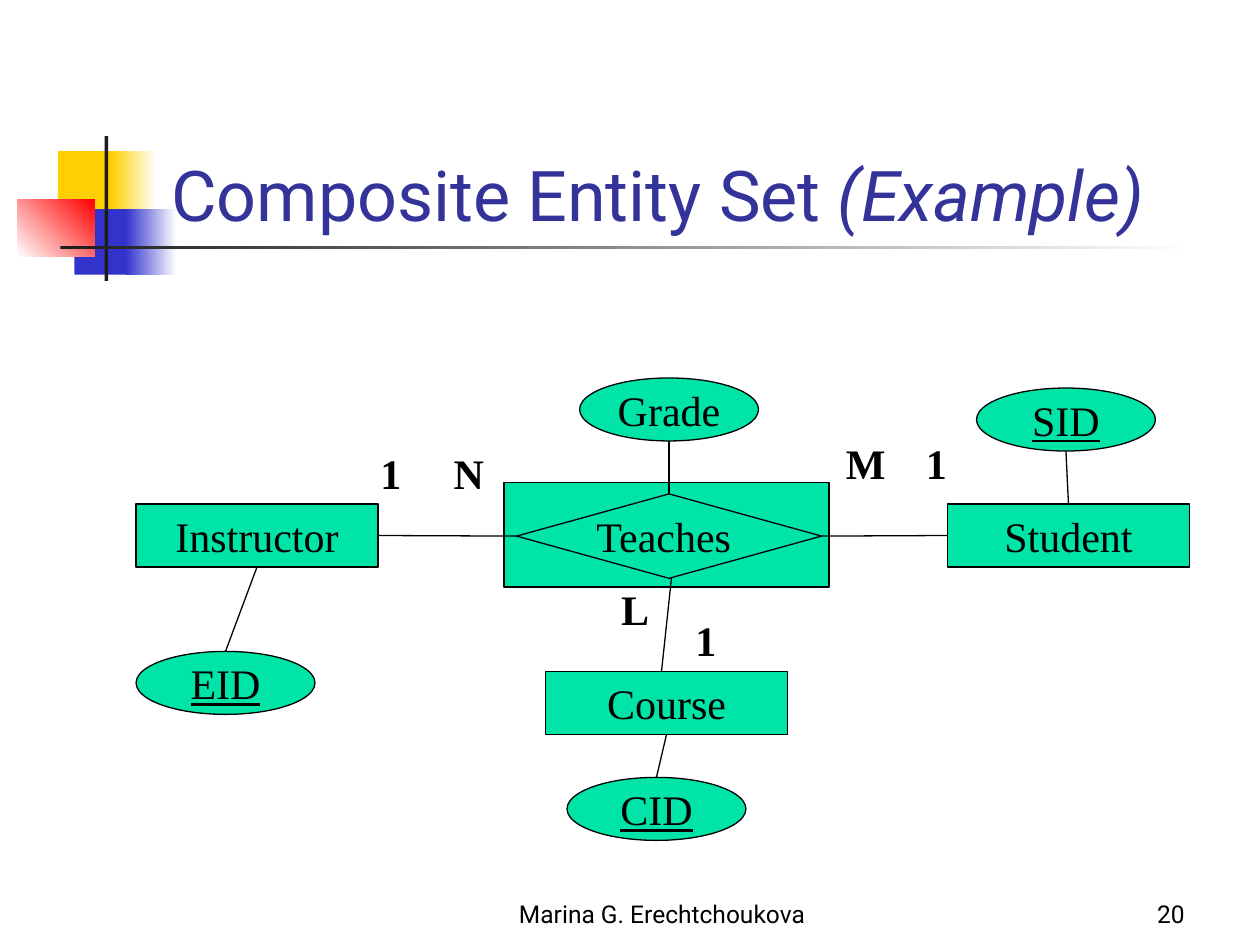
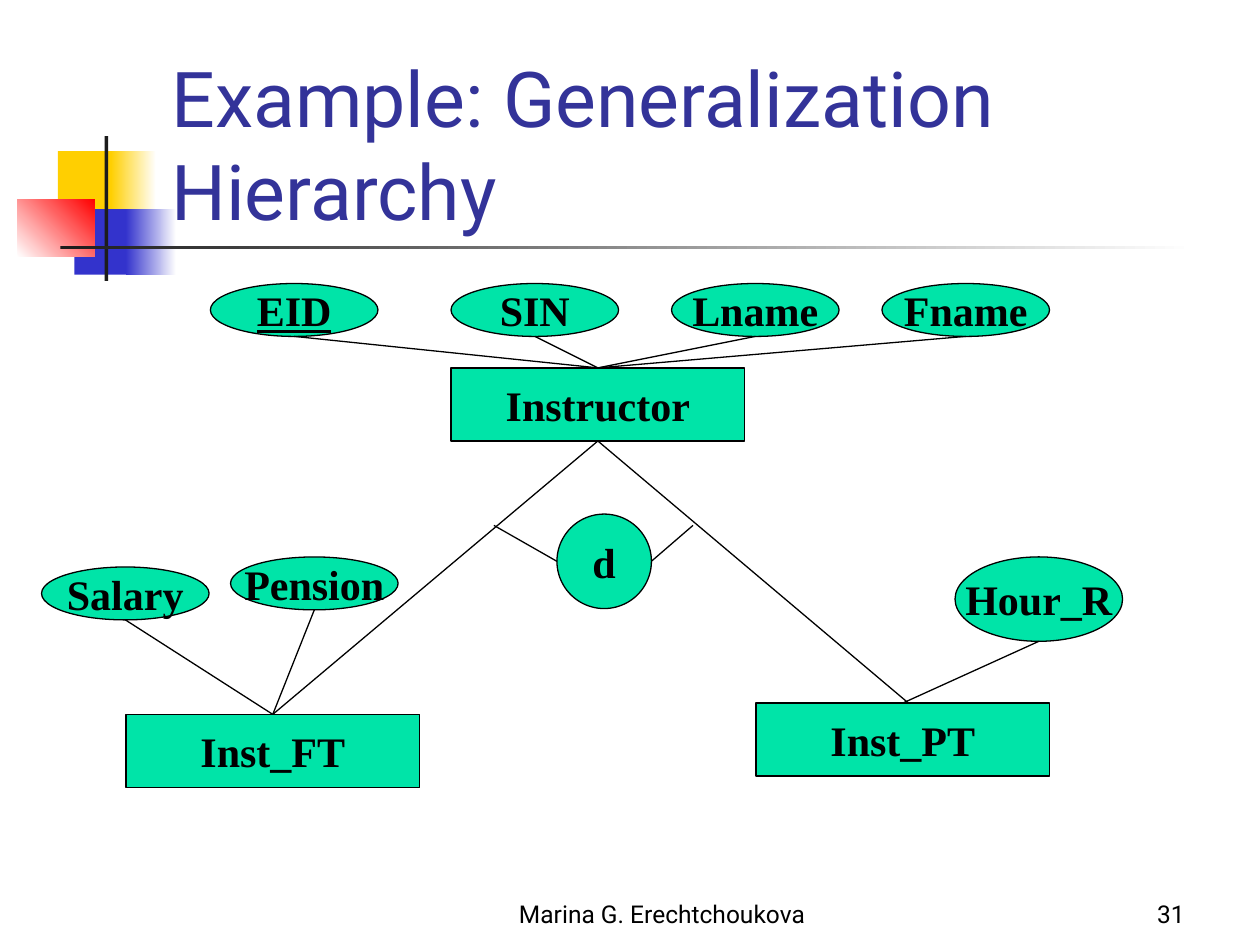
from lxml.etree import SubElement
from pptx import Presentation
from pptx.dml.color import RGBColor
from pptx.enum.shapes import MSO_CONNECTOR, MSO_SHAPE
from pptx.enum.text import MSO_ANCHOR, MSO_AUTO_SIZE, PP_ALIGN
from pptx.oxml.ns import qn
from pptx.util import Inches, Pt

BLACK = RGBColor(0x00, 0x00, 0x00)
WHITE = RGBColor(0xFF, 0xFF, 0xFF)
INK = RGBColor(0x1C, 0x1C, 0x1C)
GOLD = RGBColor(0xFF, 0xCF, 0x01)
BLUE = RGBColor(0x33, 0x33, 0xCC)
RED = RGBColor(0xFF, 0x00, 0x00)
NAVY = RGBColor(0x33, 0x33, 0x99)
GREEN = RGBColor(0x00, 0xE4, 0xA8)

SANS, SERIF = "Roboto", "Times New Roman"
BOX, OVAL = MSO_SHAPE.FLOWCHART_PROCESS, MSO_SHAPE.FLOWCHART_CONNECTOR
TOP, LEFT, BOTTOM, RIGHT = range(4)

# left, top, width, height, colours from start to end, angle
BANDS = [
    (0.46, 1.2, 0.48, 0.52, [GOLD], 0),
    (0.88, 1.2, 0.36, 0.52, [GOLD, WHITE], 0),
    (0.59, 1.66, 0.46, 0.52, [BLUE], 0),
    (1, 1.66, 0.4, 0.52, [BLUE, WHITE], 0),
    (0.14, 1.58, 0.61, 0.46, [WHITE, RED], 45),
    (0.83, 1.08, 0.03, 1.15, [INK], 0),
    (0.48, 1.95, 9, 0.03, [INK, WHITE], 0),
]


def inches(*sizes):
    return [Inches(size) for size in sizes]


def style(frame, size, font, color, align, bold=False, line=False):
    """Format every run of a text frame."""
    for par in frame.paragraphs:
        par.alignment = align
        for run in par.runs:
            run.font.size = Pt(size)
            run.font.name = font
            run.font.color.rgb = color
            run.font.bold = bold
            run.font.underline = line


def add_bands(slide, layout):
    """Draw the bands and move them to the layout that the slides share."""
    for num, (*box, colors, angle) in enumerate(BANDS):
        band = slide.shapes.add_shape(MSO_SHAPE.RECTANGLE, *inches(*box))
        band.shadow.inherit = False
        band.line.fill.background()
        if len(colors) == 1:
            band.fill.solid()
            band.fill.fore_color.rgb = colors[0]
        else:
            band.fill.gradient()
            band.fill.gradient_angle = angle
            for stop, color in zip(band.fill.gradient_stops, colors):
                stop.color.rgb = color
        band.element.nvSpPr.cNvPr.id = 20 + num
        layout.shapes.element.append(band.element)


def add_title(slide, text, size, tail=""):
    """Fill the title; the tail is set in italics."""
    title = slide.shapes.title
    title.left, title.top, title.width, title.height = inches(1.26, 0.67, 8.52, 1.25)
    frame = title.text_frame
    frame.text = text
    if tail:
        run = frame.paragraphs[0].add_run()
        run.text = tail
        run.font.italic = True
    frame.auto_size = MSO_AUTO_SIZE.NONE
    frame.vertical_anchor = MSO_ANCHOR.BOTTOM
    style(frame, size, SANS, NAVY, PP_ALIGN.LEFT)


def add_text(slide, text, box, size, font, align, bold=False, anchor=MSO_ANCHOR.TOP):
    frame = slide.shapes.add_textbox(*inches(*box)).text_frame
    frame.text = text
    frame.word_wrap = True
    frame.vertical_anchor = anchor
    style(frame, size, font, BLACK, align, bold)


def add_foot(slide, number):
    for text, left, width, align in (
        ("Marina G. Erechtchoukova", 3.67, 3.17, PP_ALIGN.CENTER),
        (number, 7.42, 2.08, PP_ALIGN.RIGHT),
    ):
        add_text(slide, text, (left, 6.92, width, 0.5), 14, SANS, align,
                 anchor=MSO_ANCHOR.BOTTOM)


def add_node(slide, kind, box, text="", bold=False, key=False):
    """Add a diagram part; the text of a key is underlined."""
    node = slide.shapes.add_shape(kind, *inches(*box))
    node.shadow.inherit = False
    node.fill.solid()
    node.fill.fore_color.rgb = GREEN
    node.line.color.rgb = BLACK
    node.line.width = Pt(0.75)
    if text:
        frame = node.text_frame
        frame.text = text
        frame.word_wrap = False
        frame.vertical_anchor = MSO_ANCHOR.MIDDLE
        style(frame, 24, SERIF, BLACK, PP_ALIGN.CENTER, bold, key)
    return node


def spot(node, side):
    """Return the middle of a side of a node."""
    x = {LEFT: 0, RIGHT: node.width}.get(side, node.width // 2)
    y = {TOP: 0, BOTTOM: node.height}.get(side, node.height // 2)
    return node.left + x, node.top + y


def add_link(slide, start, end):
    """Draw a line; each end is a (node, side) pair or an (x, y) point in inches."""
    ends = (start, end)
    points = [inches(*stop) if isinstance(stop[0], (int, float)) and stop[0] < 10
              else spot(*stop) for stop in ends]
    link = slide.shapes.add_connector(MSO_CONNECTOR.STRAIGHT, *points[0], *points[1])
    link.line.color.rgb = BLACK
    link.line.width = Pt(0.75)
    SubElement(link.element.spPr, qn("a:effectLst"))
    for (node, side), join in zip(ends, (link.begin_connect, link.end_connect)):
        if hasattr(node, "auto_shape_type") and node.auto_shape_type == BOX:
            join(node, side)


def draw_teaches(slide):
    add_node(slide, MSO_SHAPE.RECTANGLE, (4, 3.83, 2.58, 0.83))
    tutor, student, course = [
        add_node(slide, BOX, (x, y, 1.92, 0.5), text)
        for text, x, y in (("Instructor", 1.08, 4), ("Student", 7.52, 4),
                           ("Course", 4.33, 5.33))
    ]
    teaches = add_node(slide, MSO_SHAPE.FLOWCHART_DECISION,
                       (4.1, 3.92, 2.42, 0.67), "Teaches ")
    grade, cid, sid, eid = [
        add_node(slide, OVAL, (x, y, 1.42, 0.5), text, key=text != "Grade")
        for text, x, y in (("Grade", 4.6, 3), ("CID", 4.5, 6.17),
                           ("SID", 7.75, 3.08), ("EID", 1.08, 5.17))
    ]
    for start, end in (
        ((tutor, RIGHT), (teaches, LEFT)),
        ((grade, BOTTOM), (teaches, TOP)),
        ((teaches, RIGHT), (student, LEFT)),
        ((eid, TOP), (tutor, BOTTOM)),
        ((cid, TOP), (course, BOTTOM)),
        ((sid, BOTTOM), (student, TOP)),
        ((5.33, 4.58), (5.25, 5.33)),
    ):
        add_link(slide, start, end)
    for text, x, y, width in (
        ("N", 3.5, 3.5, 0.44), ("M", 6.58, 3.42, 0.58), ("L", 4.75, 4.58, 0.58),
        ("1", 2.92, 3.5, 0.33), ("1", 7.25, 3.42, 0.33), ("1", 5.42, 4.83, 0.33),
    ):
        add_text(slide, text, (x, y, width, 0.5), 24, SERIF, PP_ALIGN.CENTER, True)


def draw_tree(slide):
    tutor, part, full = [
        add_node(slide, BOX, (x, y, 2.33, 0.58), text, True)
        for text, x, y in (("Instructor", 3.58, 2.92), ("Inst_PT", 6, 5.58),
                           ("Inst_FT", 1, 5.67))
    ]
    for text, x, y, height, owner in (
        ("EID", 1.67, 2.25, 0.42, tutor), ("SIN", 3.58, 2.25, 0.42, tutor),
        ("Lname", 5.33, 2.25, 0.42, tutor), ("Fname", 7, 2.25, 0.42, tutor),
        ("Hour_R", 7.58, 4.42, 0.67, part),
        ("Pension", 1.83, 4.42, 0.42, full), ("Salary", 0.33, 4.5, 0.42, full),
    ):
        oval = add_node(slide, OVAL, (x, y, 1.33, height), text, True, text == "EID")
        add_link(slide, (oval, BOTTOM), (owner, TOP))
    add_link(slide, (tutor, BOTTOM), (full, TOP))
    add_link(slide, (tutor, BOTTOM), (7.21, 5.58))
    split = add_node(slide, MSO_SHAPE.OVAL, (4.42, 4.08, 0.75, 0.75), "d", True)
    add_link(slide, (split, LEFT), (3.92, 4.17))
    add_link(slide, (split, RIGHT), (5.5, 4.17))


def main():
    deck = Presentation()
    deck.slide_width, deck.slide_height = inches(10, 7.5)
    layout = deck.slide_layouts.get_by_name("Title Only")
    first, second = [deck.slides.add_slide(layout) for _ in range(2)]
    add_bands(first, layout)

    add_title(first, "Composite Entity Set ", 40, "(Example)")
    draw_teaches(first)
    add_foot(first, "20")

    add_title(second, "Example: Generalization Hierarchy", 44)
    draw_tree(second)
    add_foot(second, "31")
    deck.save("out.pptx")


if __name__ == "__main__":
    main()
